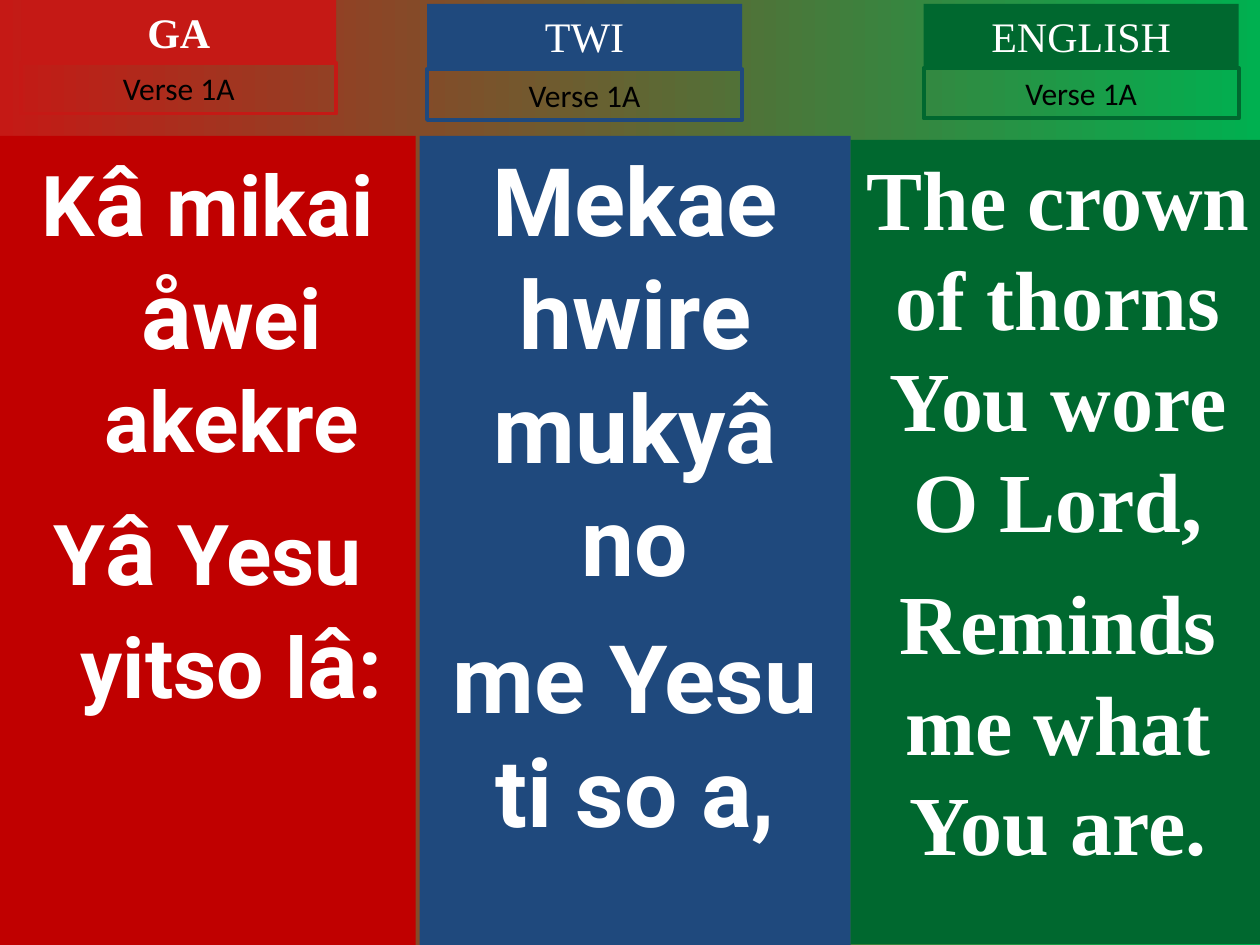
from pptx import Presentation
from pptx.dml.color import RGBColor
from pptx.enum.shapes import MSO_SHAPE
from pptx.enum.text import MSO_ANCHOR, PP_ALIGN
from pptx.util import Cm, Pt

RECTANGLE = MSO_SHAPE.RECTANGLE
TOP = MSO_ANCHOR.TOP
CENTER = PP_ALIGN.CENTER

WHITE = RGBColor(0xFF, 0xFF, 0xFF)
BLACK = RGBColor(0, 0, 0)
RED = RGBColor(0xC5, 0x19, 0x15)
DEEP_RED = RGBColor(0xC0, 0, 0)
BLUE = RGBColor(0x1F, 0x49, 0x7D)
GREEN = RGBColor(0, 0x68, 0x2F)
BRIGHT_GREEN = RGBColor(0, 0xB0, 0x50)

LABEL_WIDTH = 6.35
SERIF = "Times New Roman"


def paint_background(slide):
    fill = slide.background.fill
    fill.gradient()
    fill.gradient_angle = 0
    for stop, color in zip(fill.gradient_stops, (RED, BRIGHT_GREEN)):
        stop.color.rgb = color
    for stop, position in zip(fill.gradient_stops, (0, 1)):
        stop.position = position


def add_box(slide, left, top, width, height, fill=None, outline=None):
    box = slide.shapes.add_shape(RECTANGLE, Cm(left), Cm(top), Cm(width), Cm(height))
    box.shadow.inherit = False
    if fill is None:
        box.fill.background()
    else:
        box.fill.solid()
        box.fill.fore_color.rgb = fill
    if outline is None:
        box.line.fill.background()
    else:
        box.line.color.rgb = outline
        box.line.width = Pt(2.25)
    box.text_frame.word_wrap = True
    box.text_frame.vertical_anchor = TOP
    return box.text_frame


def style(paragraph, font_name, size, color, bold=False):
    paragraph.alignment = CENTER
    font = paragraph.font
    font.name, font.size, font.bold = font_name, Pt(size), bold
    font.color.rgb = color


def add_heading(slide, language, left, top, verse_top, color, bold=False):
    """Language name on a filled bar, with the verse number framed below."""
    name = add_box(slide, left, top, LABEL_WIDTH, 1.27, fill=color).paragraphs[0]
    name.text = language
    style(name, SERIF, 24, WHITE, bold)
    verse = add_box(slide, left, verse_top, LABEL_WIDTH, 1.02, outline=color).paragraphs[0]
    verse.text = "Verse 1A"
    style(verse, "Calibri", 18, BLACK)


def add_lyrics(slide, area, color, lines, font_name, size, gap, hanging=0, large=""):
    """Lyrics panel; the letters in large are set at 54 pt."""
    frame = add_box(slide, *area, fill=color)
    for number, line in enumerate(lines):
        paragraph = frame.add_paragraph() if number else frame.paragraphs[0]
        if number:
            paragraph.space_before = Pt(gap)
        if hanging:
            properties = paragraph._p.get_or_add_pPr()
            properties.set("marL", str(Cm(hanging)))
            properties.set("indent", str(-Cm(hanging)))
        for part in split_at(line, large):
            run = paragraph.add_run()
            run.text = part
            if part in large:
                run.font.size = Pt(54)
        style(paragraph, font_name, size, WHITE, bold=True)


def split_at(line, letters):
    """Cut the line so that each of the letters stands alone."""
    parts = [""]
    for character in line:
        if character in letters:
            parts += [character, ""]
        else:
            parts[-1] += character
    return [part for part in parts if part]


def main():
    presentation = Presentation()
    presentation.slide_width, presentation.slide_height = Cm(25.4), Cm(19.05)
    slide = presentation.slides.add_slide(presentation.slide_layouts[6])
    paint_background(slide)

    add_lyrics(slide, (0, 2.74, 8.38, 16.31), DEEP_RED,
               ["Kâ mikai åwei akekre", "Yâ Yesu yitso lâ:"],
               "Roboto", 48, 12, hanging=0.95, large="âå")
    add_lyrics(slide, (8.46, 2.74, 8.69, 16.31), BLUE,
               ["Mekae hwire mukyâ no", "me Yesu ti so a,"],
               "Roboto", 54, 13.5)
    add_lyrics(slide, (17.15, 2.82, 8.36, 16.21), GREEN,
               ["The crown of thorns You wore O Lord,", "Reminds me what You are."],
               SERIF, 48, 12)

    add_heading(slide, "GA", 0.43, 0, 1.27, RED, bold=True)
    add_heading(slide, "TWI", 8.61, 0.08, 1.4, BLUE)
    add_heading(slide, "ENGLISH", 18.62, 0.08, 1.37, GREEN)

    presentation.save("out.pptx")


if __name__ == "__main__":
    main()
